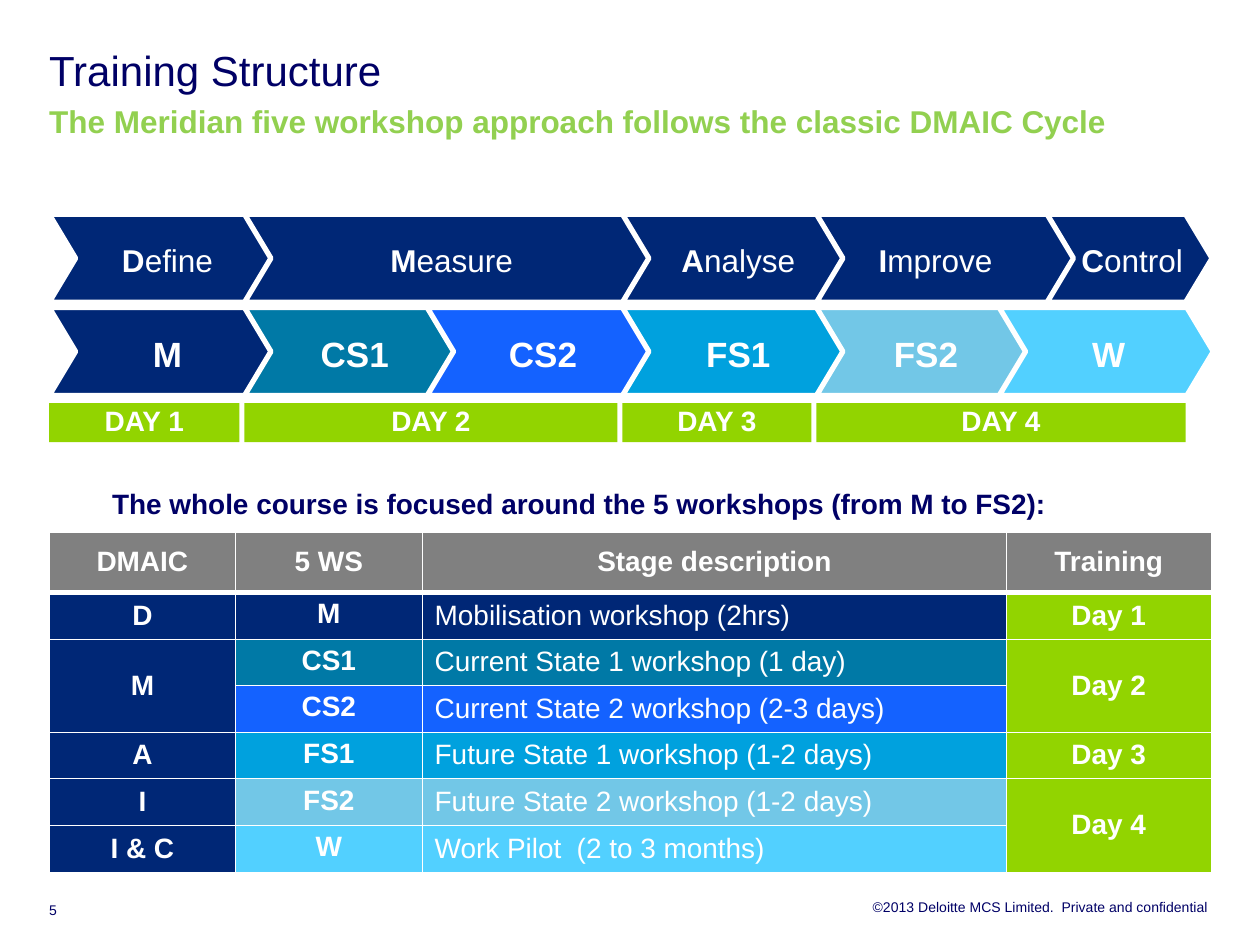
from lxml.etree import SubElement
from pptx import Presentation
from pptx.dml.color import RGBColor
from pptx.enum.shapes import MSO_SHAPE as Shape
from pptx.enum.text import MSO_ANCHOR as Anchor, PP_ALIGN as Align
from pptx.oxml import parse_xml
from pptx.oxml.ns import nsdecls, qn
from pptx.util import Inches, Pt

THEME = {
    "font": "Arial",
    "colors": {
        "white": "FFFFFF", "text": "000066", "accent": "92D050", "day": "92D400",
        "header": "808080", "navy": "002776", "teal": "0079A6", "blue": "1462FF",
        "cyan": "00A1DE", "pale": "72C7E7", "sky": "52D0FF",
    },
    "sizes": {"title": 24, "stage": 18, "workshop": 20, "body": 16, "small": 8},
}

TITLE = [("Training Structure\v", "title", "text", False),
         ("The Meridian five workshop approach follows the classic DMAIC Cycle",
          "stage", "accent", True)]
HEADING = "The whole course is focused around the 5 workshops (from M to FS2):"
COPYRIGHT = "©2013 Deloitte MCS Limited.  Private and confidential"
PAGE = "5"

EDGE_PAD, INNER_PAD, IMPROVE_PAD = (0.08, 0), (0.2, 0.16), (0.2, 0.36)
STAGES = [("Define", 0.39, 1.8, EDGE_PAD), ("Measure", 1.94, 3.25, INNER_PAD),
          ("Analyse", 4.94, 1.8, INNER_PAD), ("Improve", 6.48, 2.05, IMPROVE_PAD),
          ("Control", 8.31, 1.31, INNER_PAD)]
WORKSHOPS = [("M", 0.39, 1.8, EDGE_PAD, "navy"), ("CS1", 1.94, 1.71, INNER_PAD, "teal"),
             ("CS2", 3.39, 1.8, INNER_PAD, "blue"), ("FS1", 4.94, 1.8, INNER_PAD, "cyan"),
             ("FS2", 6.48, 1.7, INNER_PAD, "pale"), ("W", 7.93, 1.7, INNER_PAD, "sky")]
DAY_EDGES, DAY_GAP = [0.39, 1.94, 4.94, 6.48, 9.45], 0.04

COLUMNS = [1.48, 1.48, 4.64, 1.62]
ROWS = [("DMAIC", "5 WS", "Stage description", "Training"),
        ("D", "M", "Mobilisation workshop (2hrs)", "Day 1"),
        ("M", "CS1", "Current State 1 workshop (1 day)", "Day 2"),
        ("", "CS2", "Current State 2 workshop (2-3 days)", ""),
        ("A", "FS1", "Future State 1 workshop (1-2 days)", "Day 3"),
        ("I", "FS2", "Future State 2 workshop (1-2 days)", "Day 4"),
        ("I & C", "W", "Work Pilot  (2 to 3 months)", "")]
MERGES = [(2, 0), (2, 3), (5, 3)]
HEADER_HEIGHT, ROW_HEIGHT = 0.48, 0.37


def color(name):
    """Return a theme colour."""
    return RGBColor.from_string(THEME["colors"][name])


def assign(obj, values):
    """Set each named attribute on an object."""
    for name, value in values.items():
        setattr(obj, name, value)


def fill(obj, name):
    """Give an object a solid theme fill."""
    obj.fill.solid()
    obj.fill.fore_color.rgb = color(name)


def write(tf, runs, align=Align.LEFT, spacing=1.0, pads=(0, 0, 0, 0),
          anchor=Anchor.TOP, wrap=True):
    """Write one paragraph of (text, size, colour, bold) runs."""
    sides = ("margin_left", "margin_top", "margin_right", "margin_bottom")
    assign(tf, dict(zip(sides, map(Inches, pads))))
    assign(tf, {"vertical_anchor": anchor, "word_wrap": wrap})
    p = tf.paragraphs[0]
    assign(p, {"alignment": align, "line_spacing": spacing})
    for text, size, tint, bold in runs:
        head, *tail = text.split("\v")
        r = p.add_run()
        r.text = head
        assign(r.font, {"name": THEME["font"], "size": Pt(THEME["sizes"][size]),
                        "bold": bold})
        r.font.color.rgb = color(tint)
        if tail:
            p.add_line_break()


def add_text(s, box, runs, **layout):
    """Add a text box."""
    write(s.shapes.add_textbox(*map(Inches, box)).text_frame, runs, **layout)


def add_block(s, kind, box, tint, runs, **layout):
    """Add a filled shape with centred text."""
    sp = s.shapes.add_shape(kind, *map(Inches, box))
    sp.shadow.inherit = False
    fill(sp, tint)
    sp.line.fill.background()
    write(sp.text_frame, runs, align=Align.CENTER, **layout)
    return sp


def add_chevron(s, left, top, width, pad, tint, runs):
    """Add one white-edged step of a process row."""
    sp = add_block(s, Shape.CHEVRON, (left, top, width, 0.7), tint, runs, spacing=1.1,
                   pads=(pad[0], 0.06, pad[1], 0.06), anchor=Anchor.MIDDLE, wrap=False)
    sp.adjustments[0] = 0.3
    sp.line.color.rgb = color("white")
    sp.line.width = Pt(3)


def set_borders(cell, widths):
    """Draw white cell borders for left, right, top and bottom widths."""
    props = cell._tc.get_or_add_tcPr()
    for i, (side, width) in enumerate(zip("LRTB", widths)):
        line = parse_xml(f'<a:ln{side} {nsdecls("a")} w="{Pt(width)}"/>')
        solid = SubElement(line, qn("a:solidFill"))
        SubElement(solid, qn("a:srgbClr"), val=THEME["colors"]["white"])
        props.insert(i, line)


def add_schedule(s):
    """Add the table of stages, workshops and days."""
    heights = [HEADER_HEIGHT] + [ROW_HEIGHT] * (len(ROWS) - 1)
    box = (0.39, 4.22, sum(COLUMNS), sum(heights))
    table = s.shapes.add_table(len(ROWS), len(COLUMNS), *map(Inches, box)).table
    assign(table, {"first_row": False, "horz_banding": False})
    for column, width in zip(table.columns, COLUMNS):
        column.width = Inches(width)
    for row, height in zip(table.rows, heights):
        row.height = Inches(height)
    for i, texts in enumerate(ROWS):
        tint = WORKSHOPS[i - 1][4]
        tints = ("navy", tint, tint, "day") if i else ["header"] * 4
        for j, text in enumerate(texts):
            cell = table.cell(i, j)
            fill(cell, tints[j])
            set_borders(cell, (1 if j == 3 else 0.25, 1 if j == 2 else 0.25,
                               3 if i == 1 else 0.25, 3 if i == 0 else 0.25))
            described = i > 0 and j == 2
            if text:
                write(cell.text_frame, [(text, "body", "white", not described)],
                      align=Align.LEFT if described else Align.CENTER)
            assign(cell, {
                "margin_left": Inches(0.1), "margin_right": Inches(0.1),
                "margin_top": Inches(0.05), "margin_bottom": Inches(0.05),
                "vertical_anchor": Anchor.TOP if i and j == 1 else Anchor.MIDDLE})
    for i, j in MERGES:
        table.cell(i, j).merge(table.cell(i + 1, j))


def main():
    """Build the training structure slide."""
    prs = Presentation()
    assign(prs, {"slide_width": Inches(10), "slide_height": Inches(7.5)})
    s = prs.slides.add_slide(prs.slide_layouts[6])
    add_text(s, (3.4, 7.13, 6.19, 0.13), [(COPYRIGHT, "small", "text", False)],
             align=Align.RIGHT)
    add_text(s, (0.39, 0.39, 9.21, 0.69), TITLE, spacing=Pt(26))
    add_text(s, (0.39, 7.16, 0.39, 0.13), [(PAGE, "small", "text", False)],
             anchor=Anchor.BOTTOM)
    add_schedule(s)
    for name, left, width, pad, tint in WORKSHOPS:
        add_chevron(s, left, 2.44, width, pad, tint, [(name, "workshop", "white", True)])
    for day, (left, right) in enumerate(zip(DAY_EDGES, DAY_EDGES[1:]), 1):
        add_block(s, Shape.RECTANGLE, (left, 3.2, right - left - DAY_GAP, 0.31), "day",
                  [(f"DAY {day}", "body", "white", True)], pads=(0.04, 0, 0.04, 0))
    for name, left, width, pad in STAGES:
        add_chevron(s, left, 1.7, width, pad, "navy",
                    [(name[0], "stage", "white", True), (name[1:], "stage", "white", False)])
    add_text(s, (0.69, 3.66, 8.48, 0.53), [(HEADING, "body", "text", True)],
             spacing=1.5, pads=(0.2, 0, 0.12, 0), anchor=Anchor.MIDDLE)
    prs.save("out.pptx")


if __name__ == "__main__":
    main()
